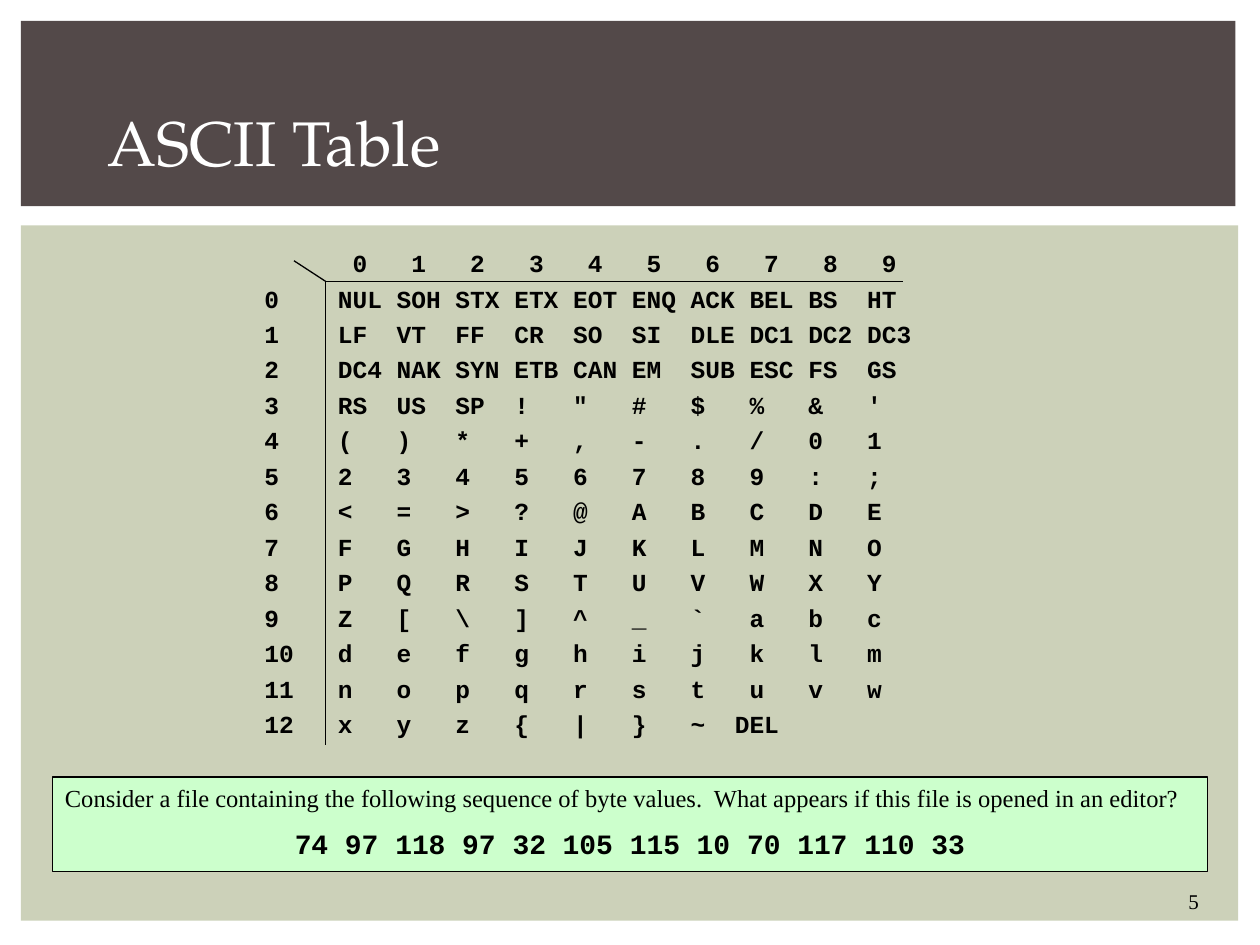
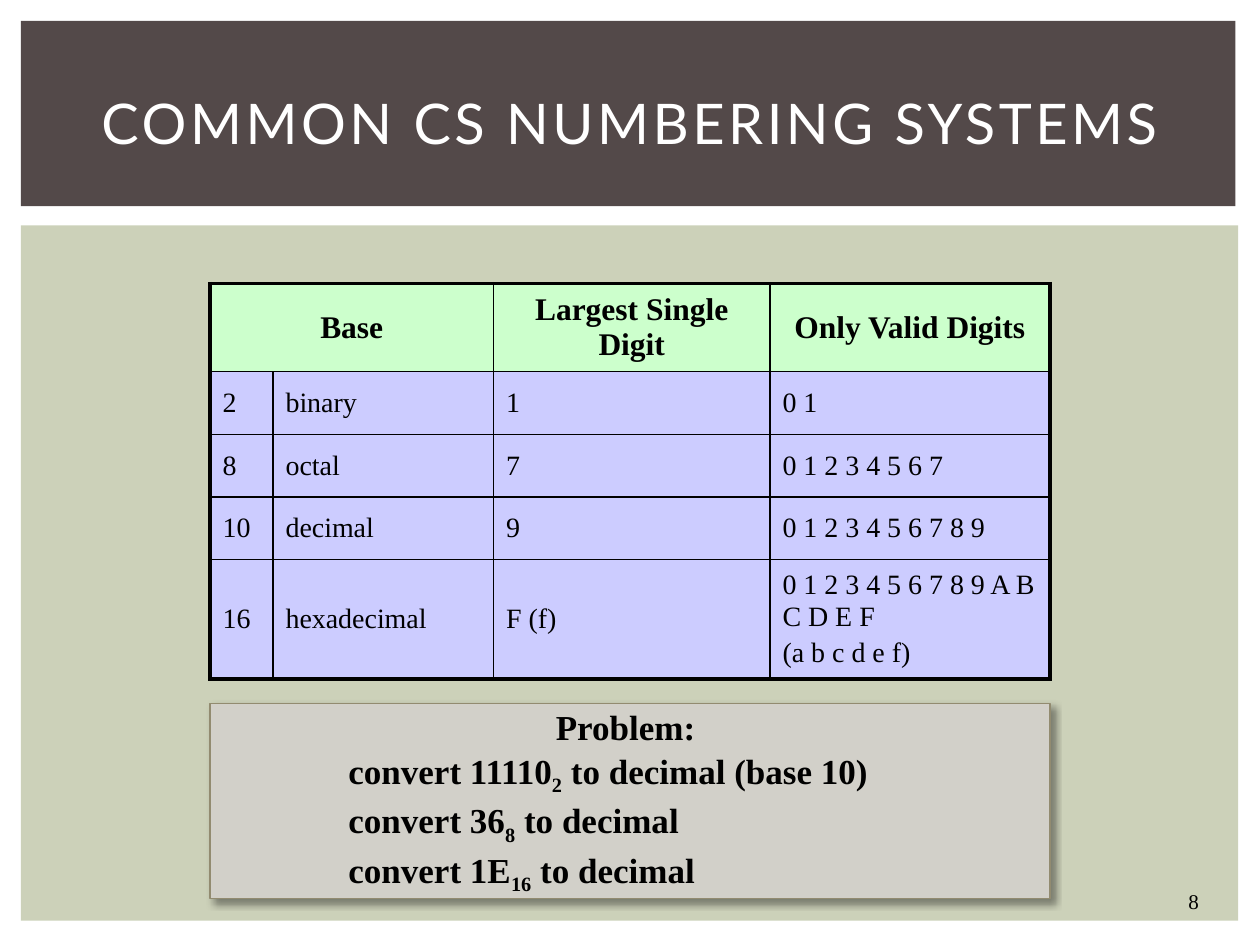
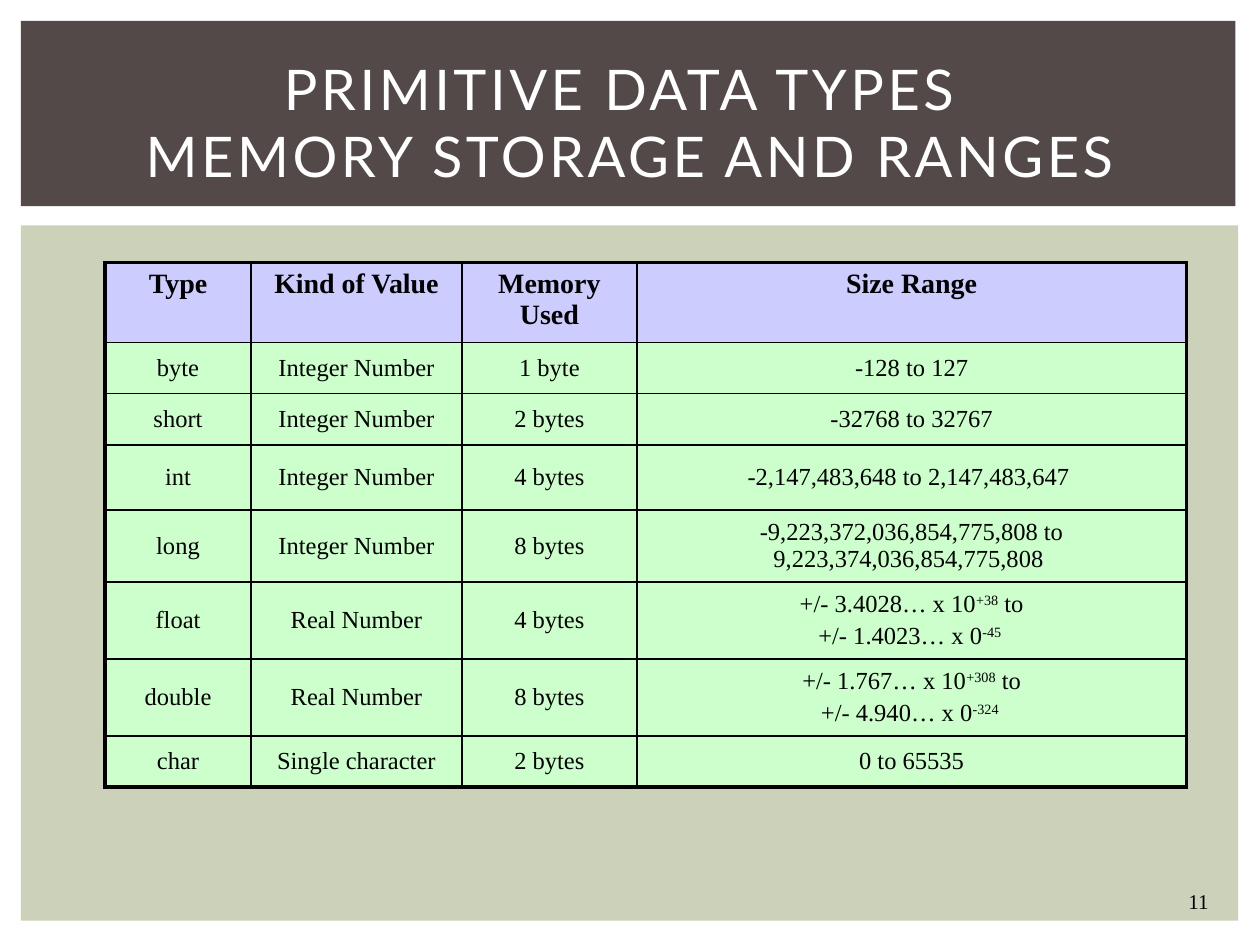
"""Build three lecture slides on character codes, number bases and data types."""
from lxml.etree import SubElement
from pptx import Presentation
from pptx.dml.color import RGBColor
from pptx.enum.shapes import MSO_CONNECTOR, MSO_SHAPE
from pptx.enum.text import MSO_ANCHOR, MSO_AUTO_SIZE, PP_ALIGN
from pptx.oxml.ns import qn
from pptx.util import Pt

COLORS = {
    "band": "534949", "panel": "CCD1B9", "green": "CCFFCC", "lilac": "CCCCFF",
    "stone": "D2D0C9", "stone_edge": "928B70", "black": "000000", "white": "FFFFFF",
}
SERIF, MONO, DISPLAY, SANS = "Times New Roman", "Courier New", "TeX Gyre Pagella", "Lato"
LEFT, CENTER = PP_ALIGN.LEFT, PP_ALIGN.CENTER
TOP, MIDDLE = MSO_ANCHOR.TOP, MSO_ANCHOR.MIDDLE
CHARACTER_WIDTH = 8.4
CONTROL_NAMES = (
    "NUL SOH STX ETX EOT ENQ ACK BEL BS HT LF VT FF CR SO SI DLE DC1 DC2 DC3 DC4 "
    "NAK SYN ETB CAN EM SUB ESC FS GS RS US SP"
).split()
BASES = [
    ["Base", "", "Largest Single Digit", "Only Valid Digits"],
    ["2", "binary", "1", "0 1"],
    ["8", "octal", "7", "0 1 2 3 4 5 6 7"],
    ["10", "decimal", "9", "0 1 2 3 4 5 6 7 8 9"],
    ["16", "hexadecimal", "F (f)", "0 1 2 3 4 5 6 7 8 9 A B C D E F\n(a b c d e f)"],
]
TYPES = [
    ["Type", "Kind of Value", "Memory Used", "Size Range"],
    ["byte", "Integer Number", "1 byte", "-128 to 127"],
    ["short", "Integer Number", "2 bytes", "-32768 to 32767"],
    ["int", "Integer Number", "4 bytes", "-2,147,483,648 to 2,147,483,647 "],
    ["long", "Integer Number", "8 bytes",
     "-9,223,372,036,854,775,808 to 9,223,374,036,854,775,808 "],
    ["float", "Real Number", "4 bytes", "+/- 3.4028… x 10^+38^ to\n+/- 1.4023… x 0^-45 ^"],
    ["double", "Real Number", "8 bytes", "+/- 1.767… x 10^+308^ to\n+/- 4.940… x 0^-324 ^"],
    ["char", "Single character", "2 bytes", "0 to 65535"],
]
PROBLEMS = [
    "convert 11110^2^ to decimal (base 10)",
    "convert 36^8^ to decimal",
    "convert 1E^16^ to decimal",
]


def color(name):
    """Return the named colour."""
    return RGBColor.from_string(COLORS[name])


def style(paragraph, size, font=SERIF, ink="black", bold=False, align=LEFT):
    """Set the alignment and the font of a paragraph."""
    paragraph.alignment = align
    paragraph.font.size = Pt(size)
    paragraph.font.name = font
    paragraph.font.bold = bold
    paragraph.font.color.rgb = color(ink)


def add_paragraph(frame, before=0):
    """Return the empty first paragraph, or a new one with space before it."""
    first = frame.paragraphs[0]
    if not first.runs:
        return first
    paragraph = frame.add_paragraph()
    paragraph.space_before = Pt(before)
    return paragraph


def write(frame, text, size, before=0, shift=30, **look):
    """Write one paragraph whose parts between carets are raised or lowered."""
    paragraph = add_paragraph(frame, before)
    for index, part in enumerate(text.split("^")):
        if part:
            run = paragraph.add_run()
            run.text = part
            if index % 2:
                run._r.get_or_add_rPr().set("baseline", str(shift * 1000))
    style(paragraph, size, **look)
    return paragraph


def add_box(slide, left, top, width, height, fill, edge=None, weight=1):
    """Add a filled rectangle and return it."""
    shape = slide.shapes.add_shape(
        MSO_SHAPE.RECTANGLE, Pt(left), Pt(top), Pt(width), Pt(height))
    shape.shadow.inherit = False
    shape.fill.solid()
    shape.fill.fore_color.rgb = color(fill)
    if edge:
        shape.line.color.rgb = color(edge)
        shape.line.width = Pt(weight)
    else:
        shape.line.fill.background()
    shape.text_frame.word_wrap = True
    shape.text_frame.vertical_anchor = TOP
    return shape


def add_text_frame(slide, left, top, width, height):
    """Add a wrapping text box and return its frame."""
    frame = slide.shapes.add_textbox(Pt(left), Pt(top), Pt(width), Pt(height)).text_frame
    frame.word_wrap = True
    return frame


def add_line(slide, start, end):
    """Add a thin black line without a shadow."""
    line = slide.shapes.add_connector(
        MSO_CONNECTOR.STRAIGHT, *(Pt(value) for value in (*start, *end)))
    line.line.color.rgb = color("black")
    line.line.width = Pt(0.75)
    SubElement(line._element.spPr, qn("a:effectLst"))


def add_shadow(shape):
    """Give a shape a soft shadow to its lower right."""
    effects = shape._element.spPr.find(qn("a:effectLst"))
    shadow = SubElement(effects, qn("a:outerShdw"), blurRad=str(Pt(4)),
                        dist=str(Pt(3)), dir="2700000", rotWithShape="0")
    ink = SubElement(shadow, qn("a:srgbClr"), val=COLORS["black"])
    SubElement(ink, qn("a:alpha"), val="40000")


def add_slide(presentation, title, number, box=(30, 28, 660, 83), spacing=2, **look):
    """Add a slide with its panel, band, title and page number."""
    slide = presentation.slides.add_slide(presentation.slide_layouts[5])
    placeholder = slide.shapes.title
    panel = add_box(slide, 12, 128.75, 695.5, 397.4, "panel")
    band = add_box(slide, 12, 12, 694, 105.8, "band")
    for backdrop in (panel, band):
        placeholder._element.addprevious(backdrop._element)
    placeholder.left, placeholder.top, placeholder.width, placeholder.height = map(Pt, box)
    frame = placeholder.text_frame
    frame.auto_size = MSO_AUTO_SIZE.NONE
    frame.vertical_anchor = MIDDLE
    frame.text = title
    paragraph = frame.paragraphs[0]
    style(paragraph, **{"size": 32, "font": SANS, "ink": "white", "align": CENTER, **look})
    paragraph._p.pPr.find(qn("a:defRPr")).set("spc", str(spacing * 100))
    write(add_text_frame(slide, 672, 504, 30, 21.6), str(number), 12)
    return slide


def add_border(cell, side, width):
    """Draw one black border of a cell."""
    line = SubElement(cell._tc.get_or_add_tcPr(), qn(f"a:ln{side}"), w=str(Pt(width)))
    fill = SubElement(line, qn("a:solidFill"))
    SubElement(fill, qn("a:srgbClr"), val=COLORS["black"])


def add_table(slide, rows, left, top, widths, heights, header, body):
    """Add a table with a thick frame, a header look and a body look."""
    table = slide.shapes.add_table(len(rows), len(widths), Pt(left), Pt(top),
                                   Pt(sum(widths)), Pt(sum(heights))).table
    table.first_row = table.horz_banding = False
    for column, width in zip(table.columns, widths):
        column.width = Pt(width)
    for row, height in zip(table.rows, heights):
        row.height = Pt(height)
    last_row, last_column = len(rows) - 1, len(widths) - 1
    for row_index, row in enumerate(rows):
        look = dict(body if row_index else header)
        fill, anchor = look.pop("fill"), look.pop("anchor", MIDDLE)
        for column_index, text in enumerate(row):
            cell = table.cell(row_index, column_index)
            outer = {"L": column_index == 0, "R": column_index == last_column,
                     "T": row_index == 0, "B": row_index == last_row}
            for side, is_outer in outer.items():
                add_border(cell, side, 2.25 if is_outer else 1)
            cell.fill.solid()
            cell.fill.fore_color.rgb = color(fill)
            cell.vertical_anchor = anchor
            for line in text.split("\n"):
                write(cell.text_frame, line, before=3, **look)
    return table


def write_code_row(frame, cells, columns):
    """Write cells at tab stops counted in character widths."""
    paragraph = add_paragraph(frame, 3.45)
    paragraph.add_run().text = "\t".join(cells)
    tabs = SubElement(paragraph._p.get_or_add_pPr(), qn("a:tabLst"))
    for column in columns:
        SubElement(tabs, qn("a:tab"), pos=str(Pt(column * CHARACTER_WIDTH)), algn="l")
    style(paragraph, 14, font=MONO, bold=True)


def build_ascii_slide(presentation):
    """Build the slide with the character code chart."""
    slide = add_slide(presentation, "ASCII Table", 5, box=(54, 48, 612, 66),
                      spacing=0, size=36, font=DISPLAY, align=LEFT)
    frame = add_text_frame(slide, 144, 138.25, 456, 296.5)
    columns = [5 + 4 * digit for digit in range(10)]
    write_code_row(frame, ["", *map(str, range(10))], [column + 1 for column in columns])
    names = CONTROL_NAMES + [chr(code) for code in range(33, 127)]
    for row in range(12):
        write_code_row(frame, [str(row), *names[10 * row:10 * row + 10]], columns)
    write_code_row(frame, ["12", *names[120:], "DEL"], columns[:7] + [columns[7] - 1])
    corner = (186, 160.75)
    for end in ((186, 426), (516, 160.75), (168, 149)):
        add_line(slide, corner, end)
    question = add_box(slide, 30, 444, 660, 54, "green", "black").text_frame
    write(question, "Consider a file containing the following sequence of byte values.  "
          "What appears if this file is opened in an editor?", 14)
    write(question, "74 97 118 97 32 105 115 10 70 117 110 33", 16, before=8,
          font=MONO, bold=True, align=CENTER)


def build_bases_slide(presentation):
    """Build the slide with the number bases and the problem box."""
    slide = add_slide(presentation, "COMMON CS NUMBERING SYSTEMS", 8)
    table = add_table(
        slide, BASES, 120, 162, [36, 126, 158, 160], [50.4, 35.75, 35.75, 35.75, 68.4],
        {"fill": "green", "size": 18, "bold": True, "align": CENTER},
        {"fill": "lilac", "size": 16})
    table.cell(0, 0).merge(table.cell(0, 1))
    box = add_box(slide, 120, 402, 480, 111.6, "stone", "stone_edge", 0.79)
    add_shadow(box)
    frame = box.text_frame
    frame.margin_top = Pt(1)
    frame.margin_bottom = Pt(0)
    write(frame, "Problem: ", 20, bold=True, align=CENTER)
    for problem in PROBLEMS:
        paragraph = write(frame, problem, 20, before=1, shift=-25, bold=True)
        paragraph._p.pPr.set("marL", str(Pt(72)))


def build_types_slide(presentation):
    """Build the slide with the primitive data types."""
    slide = add_slide(presentation, "PRIMITIVE DATA TYPES \vMEMORY STORAGE AND RANGES", 11)
    add_table(
        slide, TYPES, 60, 150, [83.5, 120.5, 100, 314],
        [45.5, 29.3, 29.3, 37.3, 41, 44, 44, 29.3],
        {"fill": "lilac", "size": 16, "bold": True, "align": CENTER, "anchor": TOP},
        {"fill": "green", "size": 14, "align": CENTER})


def main():
    """Build and save the presentation."""
    presentation = Presentation()
    presentation.slide_width, presentation.slide_height = Pt(720), Pt(540)
    build_ascii_slide(presentation)
    build_bases_slide(presentation)
    build_types_slide(presentation)
    presentation.save("out.pptx")


if __name__ == "__main__":
    main()
